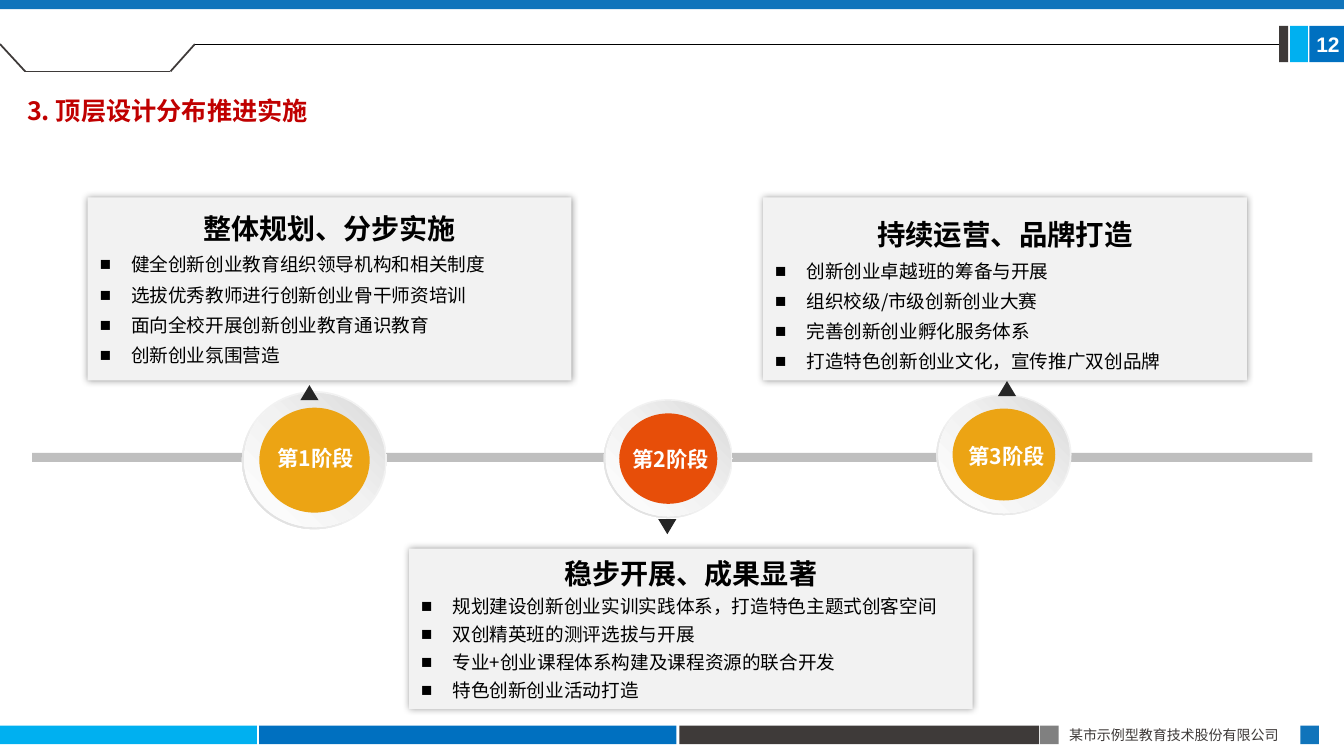
from dataclasses import dataclass

from lxml import etree
from pptx import Presentation
from pptx.dml.color import RGBColor
from pptx.enum.shapes import MSO_CONNECTOR, MSO_SHAPE
from pptx.enum.text import MSO_ANCHOR, PP_ALIGN
from pptx.oxml.ns import qn
from pptx.util import Inches, Pt

RECT, OVAL = MSO_SHAPE.RECTANGLE, MSO_SHAPE.OVAL
DONUT, TRIANGLE = MSO_SHAPE.DONUT, MSO_SHAPE.ISOSCELES_TRIANGLE
STRAIGHT = MSO_CONNECTOR.STRAIGHT
MIDDLE, TOP = MSO_ANCHOR.MIDDLE, MSO_ANCHOR.TOP
LEFT, CENTER, JUSTIFY = PP_ALIGN.LEFT, PP_ALIGN.CENTER, PP_ALIGN.JUSTIFY

WHITE = RGBColor(0xFF, 0xFF, 0xFF)
BLACK = RGBColor(0x00, 0x00, 0x00)
CYAN = RGBColor(0x00, 0xB0, 0xF0)
BLUE = RGBColor(0x00, 0x70, 0xC0)
STEEL = RGBColor(0x10, 0x74, 0xBB)
DARK = RGBColor(0x3E, 0x3A, 0x39)
GRAY = RGBColor(0x80, 0x80, 0x80)
SILVER = RGBColor(0xBF, 0xBF, 0xBF)
MIST = RGBColor(0xD9, 0xD9, 0xD9)
PALE = RGBColor(0xF2, 0xF2, 0xF2)
INK = RGBColor(0x26, 0x26, 0x26)
AMBER = RGBColor(0xEC, 0xA4, 0x14)
ORANGE = RGBColor(0xE7, 0x4E, 0x09)
RED = RGBColor(0xC0, 0x00, 0x00)

CJK, LATIN = "Noto Sans CJK SC", "Arial"
COLS, ROWS = 160, 90
RIM_STOPS = ((0, PALE), (55, PALE), (100, MIST))
PLATE_STOPS = ((0, WHITE), (51, PALE), (100, MIST))

prs = Presentation()
prs.slide_width, prs.slide_height = Inches(13.33), Inches(7.5)
s = prs.slides.add_slide(prs.slide_layouts[6])


@dataclass(frozen=True)
class Box:
    col: float
    row: float
    cols: float
    rows: float

    def scaled(self, share: float) -> "Box":
        w, h = self.cols * share, self.rows * share
        return Box(self.col + (self.cols - w) / 2, self.row + (self.rows - h) / 2, w, h)


@dataclass(frozen=True)
class Card:
    box: Box
    title: str
    size: float
    title_spacing: float
    spacing: float
    items: tuple[str, ...]


@dataclass(frozen=True)
class Stage:
    disc: Box
    color: RGBColor
    label: str
    label_box: Box
    pointer: Box
    turn: int


BARS = (
    (Box(0, 86.4, 30.6, 2.2), CYAN),
    (Box(30.84, 86.4, 49.7, 2.2), BLUE),
    (Box(80.88, 86.4, 42.84, 2.2), DARK),
    (Box(123.84, 86.4, 2.2, 2.2), GRAY),
    (Box(154.8, 86.4, 2.2, 2.2), STEEL),
    (Box(155.88, 3.1, 4.12, 4.3), BLUE),
    (Box(153.6, 3.1, 2.1, 4.3), CYAN),
    (Box(0, 0, COLS, 1.08), STEEL),
    (Box(3.84, 53.9, 152.4, 1.08), SILVER),
)
TAB = Box(152.28, 3.1, 1.08, 4.3)
NOTCH = ((0, 5.25), (3, 8.5), (20.3, 8.5), (23.2, 5.25))

CARDS = (
    Card(Box(90.84, 23.5, 57.6, 21.8), "持续运营、品牌打造", 20.3, 1.35, 1.35,
         ("创新创业卓越班的筹备与开展", "组织校级/市级创新创业大赛",
          "完善创新创业孵化服务体系", "打造特色创新创业文化，宣传推广双创品牌")),
    Card(Box(48.7, 65.3, 67.1, 19.1), "稳步开展、成果显著", 20, 1, 1.25,
         ("规划建设创新创业实训实践体系，打造特色主题式创客空间",
          "双创精英班的测评选拔与开展",
          "专业+创业课程体系构建及课程资源的联合开发", "特色创新创业活动打造")),
    Card(Box(10.44, 23.5, 57.6, 21.8), "整体规划、分步实施", 20, 1, 1.35,
         ("健全创新创业教育组织领导机构和相关制度", "选拔优秀教师进行创新创业骨干师资培训",
          "面向全校开展创新创业教育通识教育", "创新创业氛围营造")),
)
STAGES = (
    Stage(Box(28.8, 46.56, 17.28, 16.44), AMBER, "第1阶段",
          Box(29.04, 52.44, 17.04, 4.32), Box(35.76, 45.84, 2.16, 1.8), 0),
    Stage(Box(71.88, 47.52, 15.36, 14.16), ORANGE, "第2阶段",
          Box(72.48, 52.56, 14.76, 4.32), Box(78.36, 61.8, 2.16, 1.8), 180),
    Stage(Box(111.48, 46.92, 16.08, 14.4), AMBER, "第3阶段",
          Box(111.72, 52.2, 16.32, 4.32), Box(118.8, 45.36, 2.16, 1.8), 0),
)


def x(col: float) -> int:
    return round(prs.slide_width * col / COLS)


def y(row: float) -> int:
    return round(prs.slide_height * row / ROWS)


def place(box: Box) -> tuple[int, int, int, int]:
    return x(box.col), y(box.row), x(box.cols), y(box.rows)


def add_shape(kind, box: Box, color: RGBColor):
    sp = s.shapes.add_shape(kind, *place(box))
    sp.shadow.inherit = False
    sp.fill.solid()
    sp.fill.fore_color.rgb = color
    sp.line.fill.background()
    return sp


def set_gradient(sp, stops: tuple, angle: int) -> None:
    sp.fill.gradient()
    grad = sp._element.spPr.find(qn("a:gradFill"))
    for child in list(grad):
        grad.remove(child)
    gs_list = etree.SubElement(grad, qn("a:gsLst"))
    for share, color in stops:
        gs = etree.SubElement(gs_list, qn("a:gs"), pos=str(share * 1000))
        etree.SubElement(gs, qn("a:srgbClr"), val=str(color))
    etree.SubElement(grad, qn("a:lin"), ang=str(angle * 60000), scaled="0")


def set_glow_shadow(sp) -> None:
    effects = sp._element.spPr.find(qn("a:effectLst"))
    shadow = etree.SubElement(effects, qn("a:outerShdw"), blurRad=str(Pt(5)),
                              dist="0", dir="0", algn="ctr", rotWithShape="0")
    color = etree.SubElement(shadow, qn("a:srgbClr"), val=str(BLACK))
    etree.SubElement(color, qn("a:alpha"), val="40000")


def add_line(start: tuple, end: tuple, color: RGBColor, width: float):
    line = s.shapes.add_connector(STRAIGHT, x(start[0]), y(start[1]), x(end[0]), y(end[1]))
    line.line.color.rgb = color
    line.line.width = Pt(width)
    etree.SubElement(line._element.spPr, qn("a:effectLst"))
    return line


def write(p, text: str, size: float, color: RGBColor, bold: bool, font: str = CJK) -> None:
    r = p.add_run()
    r.text = text
    for name, value in {"size": Pt(size), "bold": bold, "name": font}.items():
        setattr(r.font, name, value)
    r.font.color.rgb = color
    etree.SubElement(r._r.get_or_add_rPr(), qn("a:ea"), typeface=font)


def set_frame(tf, anchor, inset_x: float, inset_y: float) -> None:
    frame = {"word_wrap": True, "vertical_anchor": anchor,
             "margin_left": Inches(inset_x), "margin_right": Inches(inset_x),
             "margin_top": Inches(inset_y), "margin_bottom": Inches(inset_y)}
    for name, value in frame.items():
        setattr(tf, name, value)


def add_text(box: Box, text: str, size: float, color: RGBColor, bold: bool,
             align=LEFT, font: str = CJK) -> None:
    tf = s.shapes.add_textbox(*place(box)).text_frame
    set_frame(tf, TOP, 0.1, 0.05)
    tf.paragraphs[0].alignment = align
    write(tf.paragraphs[0], text, size, color, bold, font)


def add_card(card: Card) -> None:
    sp = add_shape(RECT, card.box, PALE)
    set_glow_shadow(sp)
    tf = sp.text_frame
    set_frame(tf, MIDDLE, 0.12, 0.06)
    p = tf.paragraphs[0]
    p.alignment, p.line_spacing = CENTER, card.title_spacing
    write(p, card.title, card.size, BLACK, True)
    for item in card.items:
        p = tf.add_paragraph()
        p.alignment, p.line_spacing = LEFT, card.spacing
        pPr = p._p.get_or_add_pPr()
        pPr.set("marL", str(Inches(0.31)))
        pPr.set("indent", str(-Inches(0.31)))
        etree.SubElement(pPr, qn("a:buFont"), typeface=LATIN)
        etree.SubElement(pPr, qn("a:buChar"), char="■")
        write(p, item, 13.3, BLACK, False)


def add_stage(stage: Stage) -> None:
    rim = add_shape(DONUT, stage.disc, PALE)
    rim.adjustments[0] = 0.05
    set_gradient(rim, RIM_STOPS, 135)
    set_gradient(add_shape(OVAL, stage.disc.scaled(0.97), PALE), PLATE_STOPS, 315)
    add_shape(OVAL, stage.disc.scaled(0.76), stage.color)
    add_shape(TRIANGLE, stage.pointer, INK).rotation = stage.turn
    add_text(stage.label_box, stage.label, 15.2, WHITE, True, CENTER)


def main() -> None:
    for box, color in BARS:
        add_shape(RECT, box, color)
    tab = add_shape(RECT, TAB, DARK)
    for start, end in zip(NOTCH, NOTCH[1:]):
        add_line(start, end, DARK, 1.25)
    add_line(NOTCH[-1], (TAB.col, 5.25), BLACK, 0.5).end_connect(tab, 1)
    for card in CARDS:
        add_card(card)
    for stage in STAGES:
        add_stage(stage)
    add_text(Box(126.1, 85.9, 28.8, 3.3), "某市示例型教育技术股份有限公司", 10, DARK, False, JUSTIFY)
    add_text(Box(2.04, 10.8, 36.36, 4.8), "3. 顶层设计分布推进实施", 18, RED, True)
    add_text(Box(155.52, 3.12, 6, 4.2), "12", 15, WHITE, True, LEFT, LATIN)
    prs.save("out.pptx")


if __name__ == "__main__":
    main()
